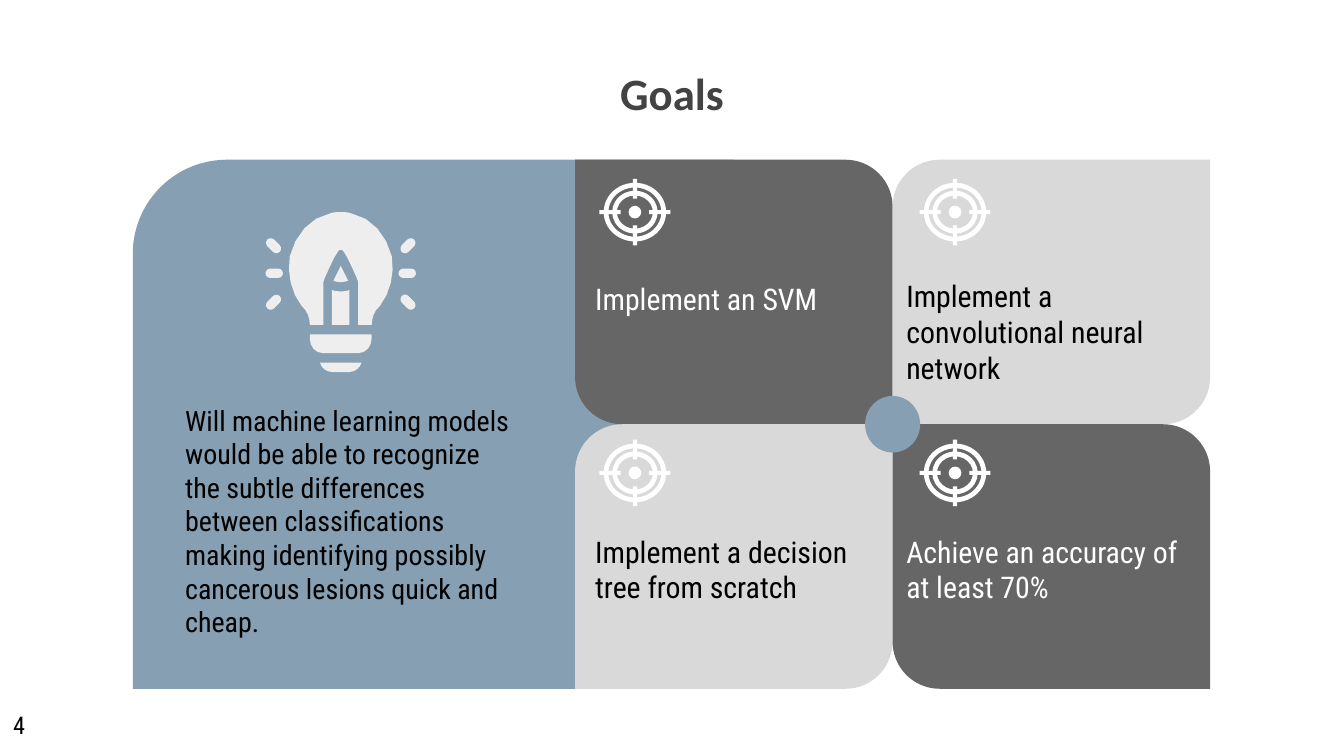
from pptx import Presentation
from pptx import util as u
from pptx.dml.color import RGBColor
from pptx.enum import shapes, text

THEME = {
    "blue": "869FB2", "dark": "666666", "light": "D9D9D9", "bulb": "EEEEEE",
    "white": "FFFFFF", "black": "000000", "heading": "434343",
    "head_font": "Calibri", "body_font": "Roboto Condensed",
    "title_pt": 24, "card_pt": 16, "question_pt": 15, "number_pt": 13,
}

TITLE = "Goals"
QUESTION = ("Will machine learning models would be able to recognize the subtle "
            "differences between classifications making identifying possibly "
            "cancerous lesions quick and cheap.")
PAGE = "4"
CARDS = [
    {"goal": "Implement an SVM", "col": 0, "row": 0, "top": 5.05, "lines": 1},
    {"goal": "Implement a convolutional neural network", "col": 1, "row": 0, "top": 5.0, "lines": 3},
    {"goal": "Implement a decision tree from scratch", "col": 0, "row": 1, "top": 9.83, "lines": 2},
    {"goal": "Achieve an accuracy of at least 70%", "col": 1, "row": 1, "top": 9.83, "lines": 2},
]

GRID_X, GRID_Y, CARD_W, CARD_H = 10.87, 3.02, 6.0, 5.0
CORNER = 0.178

BULB_X, BULB_Y, BULB_UNIT = 6.44, 4.01, 0.0254
BULB_HALVES = [
    [(0, 0), (-3, 0, -5, 0, -8, 1), (-23, 4, -34, 17, -38, 33),
     (-40, 46, -37, 60, -29, 70), (-25, 73, -23, 79, -23, 84), (-13, 84), (-13, 52),
     (-13, 51, -4, 31, -2.5, 30), (-2, 29, -1, 28, 0, 28)],
    [(0, 59), (-2, 59, -4, 59, -6.5, 58), (-6.5, 84), (0, 84)],
    [(0, 91), (-23, 91), (-23, 94), (-23, 100, -19, 105, -13, 105), (0, 105)],
    [(0, 40), (-5.5, 51), (-3, 52, -2, 52, 0, 52)],
    [(0, 112), (-15.5, 112), (-14.5, 116, -10.5, 119, -6.5, 119), (0, 119)],
]
BULB_RAYS = [(-50, 25, 45), (-49.5, 45.5, 0), (-50, 67, -45),
             (50, 25, -45), (49.5, 45.5, 0), (50, 67, 45)]
RAY_W, RAY_H = 13, 7

TARGET_RINGS = [(0.59, 0.09), (0.43, 0.09)]
TARGET_DOT, TARGET_SQUASH = 0.12, 0.94
TICK_NEAR, TICK_FAR, TICK_HALF = 0.27, 0.67, 0.04


def rgb(name):
    return RGBColor.from_string(THEME[name])


def paint(sp, color):
    sp.shadow.inherit = False
    sp.fill.solid()
    sp.fill.fore_color.rgb = rgb(color)
    sp.line.fill.background()
    return sp


def add_preset(s, kind, x, y, w, h, color, adjust=()):
    sp = paint(s.shapes.add_shape(kind, u.Cm(x), u.Cm(y), u.Cm(w), u.Cm(h)), color)
    for i, value in enumerate(adjust):
        sp.adjustments[i] = value
    return sp


def add_centred(s, kind, cx, cy, w, h, color, adjust=()):
    return add_preset(s, kind, cx - w / 2, cy - h / 2, w, h, color, adjust)


def add_text(s, words, x, y, w, h, size, color, font="body_font", bold=False,
             align=text.PP_ALIGN.LEFT, grow=False):
    tf = s.shapes.add_textbox(u.Cm(x), u.Cm(y), u.Cm(w), u.Cm(h)).text_frame
    tf.word_wrap = True
    tf.margin_left = tf.margin_right = tf.margin_top = tf.margin_bottom = u.Cm(0.25)
    if grow:
        tf.auto_size = text.MSO_AUTO_SIZE.SHAPE_TO_FIT_TEXT
    p = tf.paragraphs[0]
    p.alignment = align
    r = p.add_run()
    r.text = words
    r.font.name, r.font.size, r.font.bold = THEME[font], u.Pt(THEME[size]), bold
    r.font.color.rgb = rgb(color)


def add_outline(s, contours, x, y, color, sx=1, sy=1):
    placed = [[(u.Cm(x + px * sx), u.Cm(y + py * sy)) for px, py in c] for c in contours]
    builder = s.shapes.build_freeform(*placed[0][0])
    for i, points in enumerate(placed):
        if i:
            builder.move_to(*points[0])
        builder.add_line_segments(points[1:], close=True)
    return paint(builder.convert_to_shape(), color)


def trace(segments, steps=4):
    points = [segments[0]]
    for seg in segments[1:]:
        if len(seg) == 2:
            points.append(seg)
            continue
        ctrl = [points[-1], seg[:2], seg[2:4], seg[4:]]
        for i in range(1, steps + 1):
            t = i / steps
            weights = ((1 - t) ** 3, 3 * t * (1 - t) ** 2, 3 * t * t * (1 - t), t ** 3)
            points.append(tuple(sum(w * c[axis] for w, c in zip(weights, ctrl))
                                for axis in (0, 1)))
    return points


def add_bulb(s):
    parts = []
    for cx, cy, angle in BULB_RAYS:
        sp = add_centred(s, shapes.MSO_SHAPE.ROUNDED_RECTANGLE,
                         BULB_X + cx * BULB_UNIT, BULB_Y + cy * BULB_UNIT,
                         RAY_W * BULB_UNIT, RAY_H * BULB_UNIT, "bulb", (0.5,))
        sp.rotation = angle
        parts.append(sp)
    for half in map(trace, BULB_HALVES):
        mirrored = [(-x, y) for x, y in reversed(half) if x]
        parts.append(add_outline(s, [half + mirrored], BULB_X, BULB_Y, "bulb",
                                 BULB_UNIT, BULB_UNIT))
    s.shapes.add_group_shape(parts)


def add_target(s, x, y):
    parts = [add_centred(s, shapes.MSO_SHAPE.OVAL, x, y, 2 * TARGET_DOT, 2 * TARGET_DOT, "white")]
    for radius, band in TARGET_RINGS:
        w, h = 2 * radius, 2 * radius * TARGET_SQUASH
        parts.append(add_centred(s, shapes.MSO_SHAPE.DONUT, x, y, w, h, "white", (band / h,)))
    tick = [(TICK_NEAR, -TICK_HALF), (TICK_FAR, -TICK_HALF),
            (TICK_FAR, TICK_HALF), (TICK_NEAR, TICK_HALF)]
    turns = [(1, 0), (0, 1), (-1, 0), (0, -1)]
    ticks = [[(px * c - py * d, px * d + py * c) for px, py in tick] for c, d in turns]
    parts.append(add_outline(s, ticks, x, y, "white", sy=TARGET_SQUASH))
    s.shapes.add_group_shape(parts)


def add_card(s, card):
    col, row = card["col"], card["row"]
    is_dark = col == row
    add_preset(s, shapes.MSO_SHAPE.ROUND_2_DIAG_RECTANGLE,
               GRID_X + col * CARD_W, GRID_Y + row * CARD_H, CARD_W, CARD_H,
               "dark" if is_dark else "light", (0, CORNER) if is_dark else (CORNER, 0))
    add_target(s, 12 + 6.05 * col, 4.01 + 4.93 * row)
    add_text(s, card["goal"], 11 + 5.88 * col, card["top"], 5.77 + 0.23 * col,
             0.5 + 0.69 * card["lines"], "card_pt", "white" if is_dark else "black", grow=True)


def main():
    """Build the goals slide and save it."""
    prs = Presentation()
    prs.slide_width, prs.slide_height = u.Cm(25.4), u.Cm(14.29)
    s = prs.slides.add_slide(prs.slide_layouts[6])
    add_text(s, TITLE, 5.46, 0.99, 14.48, 2.62, "title_pt", "heading", "head_font", True,
             text.PP_ALIGN.CENTER)
    add_preset(s, shapes.MSO_SHAPE.ROUND_2_DIAG_RECTANGLE,
               2.51, GRID_Y, 11.35, 2 * CARD_H, "blue", (CORNER, 0))
    add_bulb(s)
    add_text(s, QUESTION, 3.25, 7.37, 6.71, 5.0, "question_pt", "black", grow=True)
    for card in CARDS:
        add_card(s, card)
    add_centred(s, shapes.MSO_SHAPE.OVAL, GRID_X + CARD_W, GRID_Y + CARD_H, 1.04, 1.07, "blue")
    add_text(s, PAGE, 0, 13.18, 1.52, 1.09, "number_pt", "black")
    prs.save("out.pptx")


if __name__ == "__main__":
    main()
